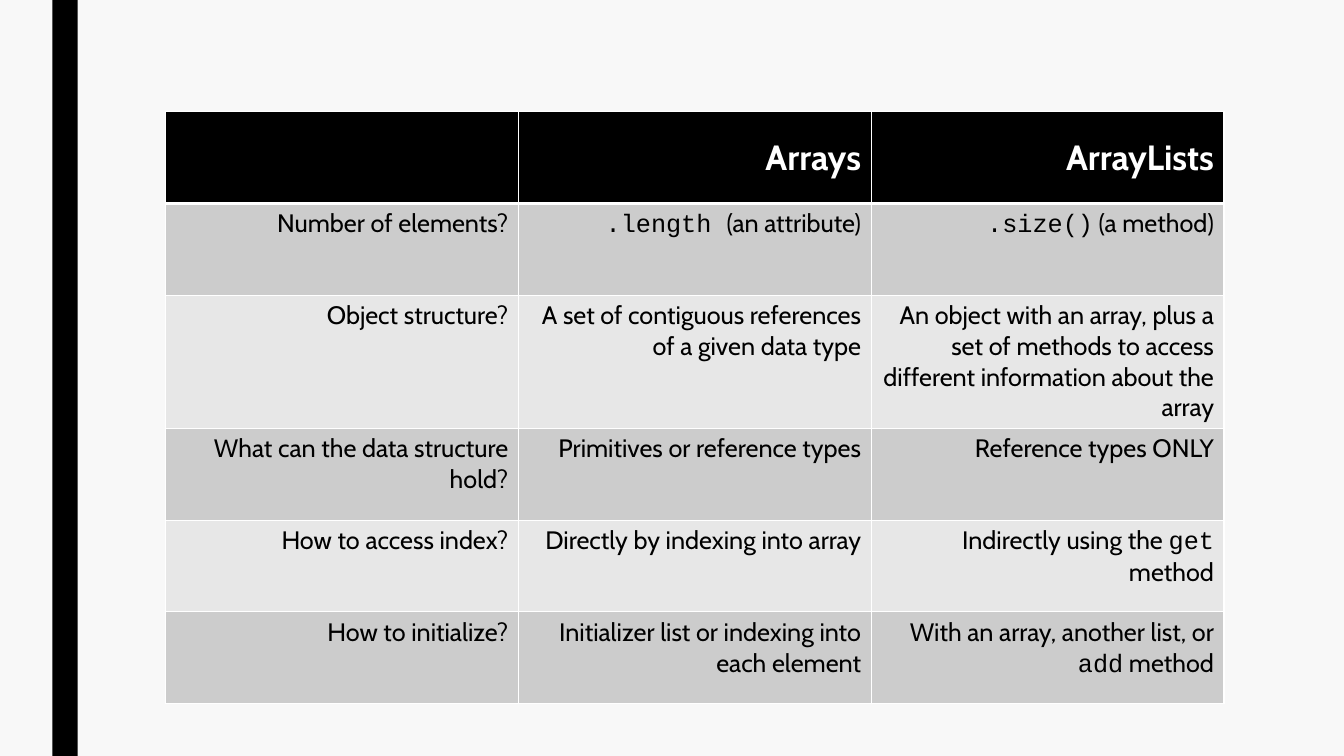
from lxml import etree
from pptx import Presentation
from pptx.dml.color import RGBColor
from pptx.enum.shapes import MSO_SHAPE
from pptx.enum.text import MSO_ANCHOR, PP_ALIGN
from pptx.oxml.ns import qn
from pptx.util import Inches, Pt

RECTANGLE = MSO_SHAPE.RECTANGLE
RIGHT = PP_ALIGN.RIGHT
TOP, MIDDLE = MSO_ANCHOR.TOP, MSO_ANCHOR.MIDDLE

COLORS = {
    "background": "F8F8F8",
    "black": "000000",
    "white": "FFFFFF",
    "odd_row": "CCCCCC",
    "even_row": "E7E7E7",
}
TEXT_FONT, CODE_FONT = "Cabin", "Courier New"
HEADER_SIZE, BODY_SIZE = 25, 18
THIN, THICK = 1, 3

# Backticks enclose code
COMPARISON = [
    ["", "Arrays", "ArrayLists"],
    ["Number of elements?", "`.length `(an attribute)", "`.size()` (a method)"],
    ["Object structure?",
     "A set of contiguous references of a given data type",
     "An object with an array, plus a set of methods to access "
     "different information about the array"],
    ["What can the data structure hold?", "Primitives or reference types",
     "Reference types ONLY"],
    ["How to access index?", "Directly by indexing into array",
     "Indirectly using the `get` method"],
    ["How to initialize?", "Initializer list or indexing into each element",
     "With an array, another list, or `add` method"],
]
COLUMN_WIDTH = 3.5
ROW_HEIGHTS = [0.91, 0.91, 0.94, 0.91, 0.91, 0.91]


def color(name):
    return RGBColor.from_string(COLORS[name])


class SlideBuilder:
    """Holds the current slide and draws its elements."""

    def __init__(self, slide):
        self.slide = slide

    def background(self, fill):
        self.slide.background.fill.solid()
        self.slide.background.fill.fore_color.rgb = color(fill)

    def bar(self, left, top, width, height, fill):
        shape = self.slide.shapes.add_shape(
            RECTANGLE, Inches(left), Inches(top), Inches(width), Inches(height))
        shape.shadow.inherit = False
        shape.fill.solid()
        shape.fill.fore_color.rgb = color(fill)
        shape.line.fill.background()

    def table(self, left, top, rows, column_width, row_heights):
        column_count = len(rows[0])
        table = self.slide.shapes.add_table(
            len(rows), column_count, Inches(left), Inches(top),
            Inches(column_width * column_count), Inches(sum(row_heights))).table
        for column in table.columns:
            column.width = Inches(column_width)
        for row_index, texts in enumerate(rows):
            table.rows[row_index].height = Inches(row_heights[row_index])
            for column_index, text in enumerate(texts):
                self.cell(table.cell(row_index, column_index), text, row_index)

    def cell(self, cell, text, row_index):
        header = row_index == 0
        fill = "black" if header else "odd_row" if row_index % 2 else "even_row"
        cell.fill.solid()
        cell.fill.fore_color.rgb = color(fill)
        cell.vertical_anchor = MIDDLE if header else TOP
        self.borders(cell, top=THICK if row_index == 1 else THIN,
                     bottom=THICK if header else THIN)
        paragraph = cell.text_frame.paragraphs[0]
        paragraph.alignment = RIGHT
        paragraph.font.size = Pt(HEADER_SIZE if header else BODY_SIZE)
        for part_index, part in enumerate(text.split("`")):
            if part:
                run = paragraph.add_run()
                run.text = part
                run.font.name = CODE_FONT if part_index % 2 else TEXT_FONT
                run.font.size = Pt(HEADER_SIZE if header else BODY_SIZE)
                run.font.bold = header
                run.font.color.rgb = color("white" if header else "black")

    def borders(self, cell, top, bottom):
        properties = cell._tc.get_or_add_tcPr()
        sides = {"a:lnL": THIN, "a:lnR": THIN, "a:lnT": top, "a:lnB": bottom}
        # Border lines must precede the fill
        for position, (side, width) in enumerate(sides.items()):
            line = etree.Element(qn(side), w=str(Pt(width)))
            solid = etree.SubElement(line, qn("a:solidFill"))
            etree.SubElement(solid, qn("a:srgbClr"), val=COLORS["white"])
            properties.insert(position, line)


def main():
    presentation = Presentation()
    presentation.slide_width = Inches(13.33)
    presentation.slide_height = Inches(7.5)
    builder = SlideBuilder(
        presentation.slides.add_slide(presentation.slide_layouts[6]))

    # Background and side bar
    builder.background("background")
    builder.bar(0.52, 0, 0.25, 7.5, "black")

    # Comparison table
    builder.table(1.64, 1.11, COMPARISON, COLUMN_WIDTH, ROW_HEIGHTS)

    presentation.save("out.pptx")


if __name__ == "__main__":
    main()
